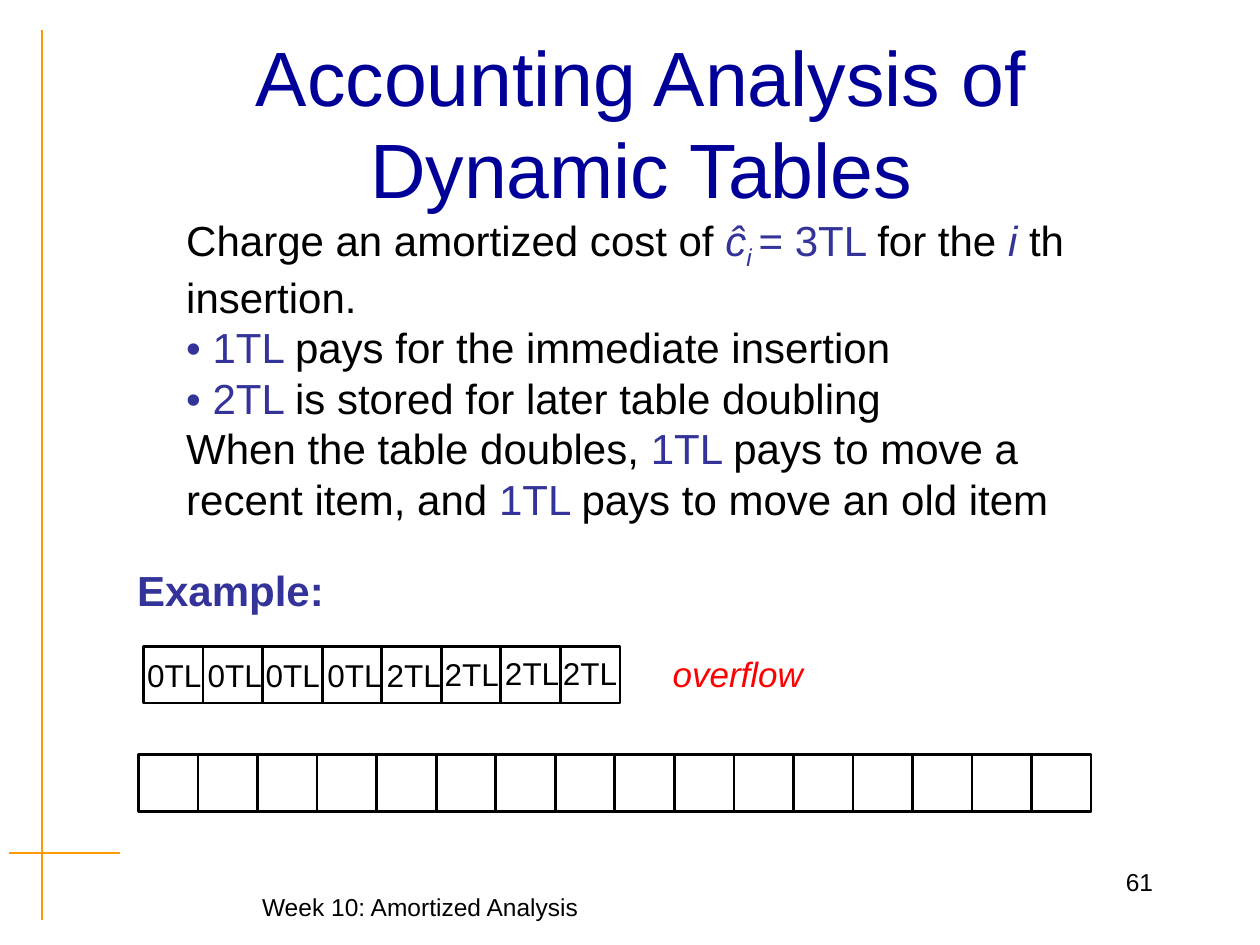
from pptx import Presentation
from pptx.dml.color import RGBColor
from pptx.enum import shapes, text
from pptx.oxml.ns import qn
from pptx.util import Inches, Pt
from lxml import etree

BLACK, INDIGO, NAVY, RED, ORANGE = "000000", "333399", "000099", "FF0000", "FF9900"


def color(hex_value):
    return RGBColor.from_string(hex_value)


def add_text(slide, box, lines, size, align=text.PP_ALIGN.LEFT,
             anchor=text.MSO_ANCHOR.TOP):
    """Each line is a list of runs: (wording, colour, styles), styles from b, i, sub."""
    frame = slide.shapes.add_textbox(*map(Inches, box)).text_frame
    frame.word_wrap = True
    frame.vertical_anchor = anchor
    for number, line in enumerate(lines):
        paragraph = frame.add_paragraph() if number else frame.paragraphs[0]
        paragraph.alignment = align
        for wording, hue, *styles in line:
            run = paragraph.add_run()
            run.text = wording
            font = run.font
            font.name, font.size = "Arial", Pt(size)
            font.color.rgb = color(hue)
            font.bold, font.italic = "b" in styles, "i" in styles
            if "sub" in styles:
                font._element.set("baseline", "-25000")


def add_rule(slide, x1, y1, x2, y2):
    rule = slide.shapes.add_connector(
        shapes.MSO_CONNECTOR.STRAIGHT, *map(Inches, (x1, y1, x2, y2)))
    rule.line.color.rgb = color(ORANGE)
    rule.line.width = Pt(1.19)
    etree.SubElement(rule._element.spPr, qn("a:effectLst"))


def add_margin_cross(slide, left, top, width, height):
    add_rule(slide, left + 0.26, top, left + 0.26, top + height)
    add_rule(slide, left, top + 6.53, left + width, top + 6.53)


def add_footer(slide, left, top, width):
    add_text(slide, (left, top + 0.2, 4.91, 0.34),
             [[("Week 10: Amortized Analysis", BLACK)]], 14, text.PP_ALIGN.CENTER)
    add_text(slide, (left + width - 2.08, top, 2.08, 0.5),
             [[("61", BLACK)]], 14, text.PP_ALIGN.RIGHT)


def add_explanation(slide, box):
    add_text(slide, box, [
        [("Charge an amortized cost of ", BLACK), ("ĉ", INDIGO, "i"),
         ("i ", INDIGO, "i", "sub"), ("= 3TL ", INDIGO), ("for the ", BLACK),
         ("i ", INDIGO, "i"), ("th", BLACK)],
        [("insertion.", BLACK)],
        [("• 1TL ", INDIGO), ("pays for the immediate insertion", BLACK)],
        [("• 2TL ", INDIGO), ("is stored for later table doubling", BLACK)],
        [("When the table doubles,", BLACK), (" 1TL ", INDIGO), ("pays to move a", BLACK)],
        [("recent item, and ", BLACK), ("1TL ", INDIGO), ("pays to move an old item", BLACK)],
    ], 24)


def add_slots(slide, left, top, width, height, count):
    pitch = width / count
    for number in range(count):
        slot = slide.shapes.add_shape(
            shapes.MSO_SHAPE.RECTANGLE,
            *map(Inches, (left + number * pitch, top, pitch, height)))
        slot.shadow.inherit = False
        slot.fill.background()
        slot.line.color.rgb = color(BLACK)
        slot.line.width = Pt(1.5)


def add_full_table(slide, left, top, width, height):
    add_slots(slide, left, top, width, height, 8)
    # Stored credit, as (offset from the table's left, offset from its top, amount)
    credits = [(-0.07, 0.03, "0TL"), (0.41, 0.03, "0TL"), (0.87, 0.03, "0TL"),
               (1.36, 0.03, "0TL"), (1.83, 0.03, "2TL"), (2.29, 0.02, "2TL"),
               (2.77, 0.01, "2TL"), (3.23, 0.01, "2TL")]
    for dx, dy, amount in credits:
        add_text(slide, (left + dx, top + dy, 0.8, 0.4), [[(amount, BLACK)]], 18)
    add_text(slide, (left + width + 0.32, top, 1.4, 0.44),
             [[("overflow", RED, "i")]], 20)


def main():
    deck = Presentation()
    deck.slide_width, deck.slide_height = Inches(10), Inches(7.5)
    slide = deck.slides.add_slide(deck.slide_layouts[6])

    # Frame of the slide
    add_margin_cross(slide, 0.07, 0.24, 0.88, 7.06)
    add_footer(slide, 0.88, 6.83, 8.37)

    # Title and explanation
    add_text(slide, (0.84, 0.34, 8.5, 1.25),
             [[("Accounting Analysis of Dynamic Tables", NAVY)]], 44,
             text.PP_ALIGN.CENTER, text.MSO_ANCHOR.MIDDLE)
    add_explanation(slide, (1.38, 1.65, 7.6, 2.56))

    # Example: the full table and its doubled successor
    add_text(slide, (0.99, 4.43, 1.8, 0.5), [[("Example:", INDIGO, "b")]], 24)
    add_full_table(slide, 1.14, 5.13, 3.78, 0.45)
    add_slots(slide, 1.1, 5.99, 7.56, 0.45, 16)

    deck.save("out.pptx")


if __name__ == "__main__":
    main()
